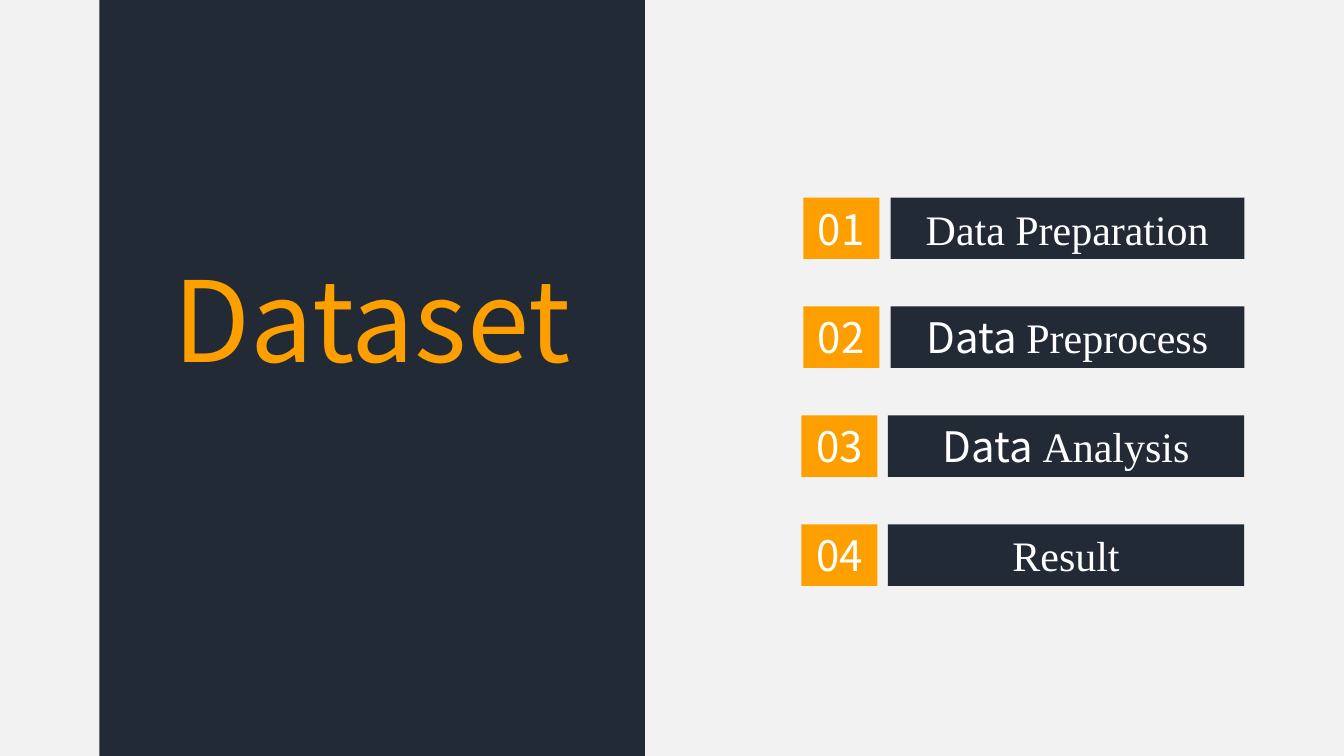
from pptx import Presentation
from pptx import util as u
from pptx.dml import color
from pptx.enum import shapes, text

NAVY, ORANGE, WHITE, PALE = "222A35", "FE9F00", "FFFFFF", "F2F2F2"
SANS, SERIF = "Noto Sans CJK JP", "Times New Roman"

ROW_TOP, ROW_STEP, ROW_HEIGHT = 141.1, 77.8, 43.9
NUMBER_WIDTH, LABEL_RIGHT = 54.3, 888.8

# Number left, label left, and the label's spans as (wording, font)
ROWS = [
    (573.8, 636.1, [("Data Preparation", SERIF)]),
    (573.8, 636.1, [("Data ", SANS), ("Preprocess", SERIF)]),
    (572.4, 634.3, [("Data ", SANS), ("Analysis", SERIF)]),
    (572.4, 634.3, [("Result", SERIF)]),
]


def rgb(value):
    return color.RGBColor.from_string(value)


def add_block(page, left, top, width, height, fill):
    box = page.shapes.add_shape(
        shapes.MSO_SHAPE.RECTANGLE, u.Pt(left), u.Pt(top), u.Pt(width), u.Pt(height)
    )
    box.shadow.inherit = False
    box.fill.solid()
    box.fill.fore_color.rgb = rgb(fill)
    box.line.fill.background()
    return box


def write(box, spans, size, ink):
    """Centre one line of (wording, font) spans in the box."""
    frame = box.text_frame
    frame.word_wrap = True
    frame.vertical_anchor = text.MSO_ANCHOR.MIDDLE
    frame.margin_left = frame.margin_right = 0
    frame.margin_top = frame.margin_bottom = 0
    para = frame.paragraphs[0]
    para.alignment = text.PP_ALIGN.CENTER
    for wording, font in spans:
        span = para.add_run()
        span.text = wording
        span.font.name = font
        span.font.size = u.Pt(size)
        span.font.color.rgb = rgb(ink)


def add_title(page, wording):
    box = page.shapes.add_textbox(u.Pt(106.6), u.Pt(175), u.Pt(318.2), u.Pt(104.4))
    write(box, [(wording, SANS)], 80, ORANGE)


def add_agenda_row(page, index, number_left, label_left, spans):
    top = ROW_TOP + index * ROW_STEP
    number = add_block(page, number_left, top, NUMBER_WIDTH, ROW_HEIGHT, ORANGE)
    write(number, [(f"{index + 1:02}", SANS)], 30, WHITE)
    label = add_block(page, label_left, top, LABEL_RIGHT - label_left, ROW_HEIGHT, NAVY)
    write(label, spans, 30, WHITE)


def main():
    deck = Presentation()
    deck.slide_width, deck.slide_height = u.Pt(960), u.Pt(540)
    page = deck.slides.add_slide(deck.slide_layouts[6])
    page.background.fill.solid()
    page.background.fill.fore_color.rgb = rgb(PALE)

    add_block(page, 71, 0, 389.6, 540, NAVY)
    add_title(page, "Dataset")
    for index, row in enumerate(ROWS):
        add_agenda_row(page, index, *row)

    deck.save("out.pptx")


if __name__ == "__main__":
    main()
